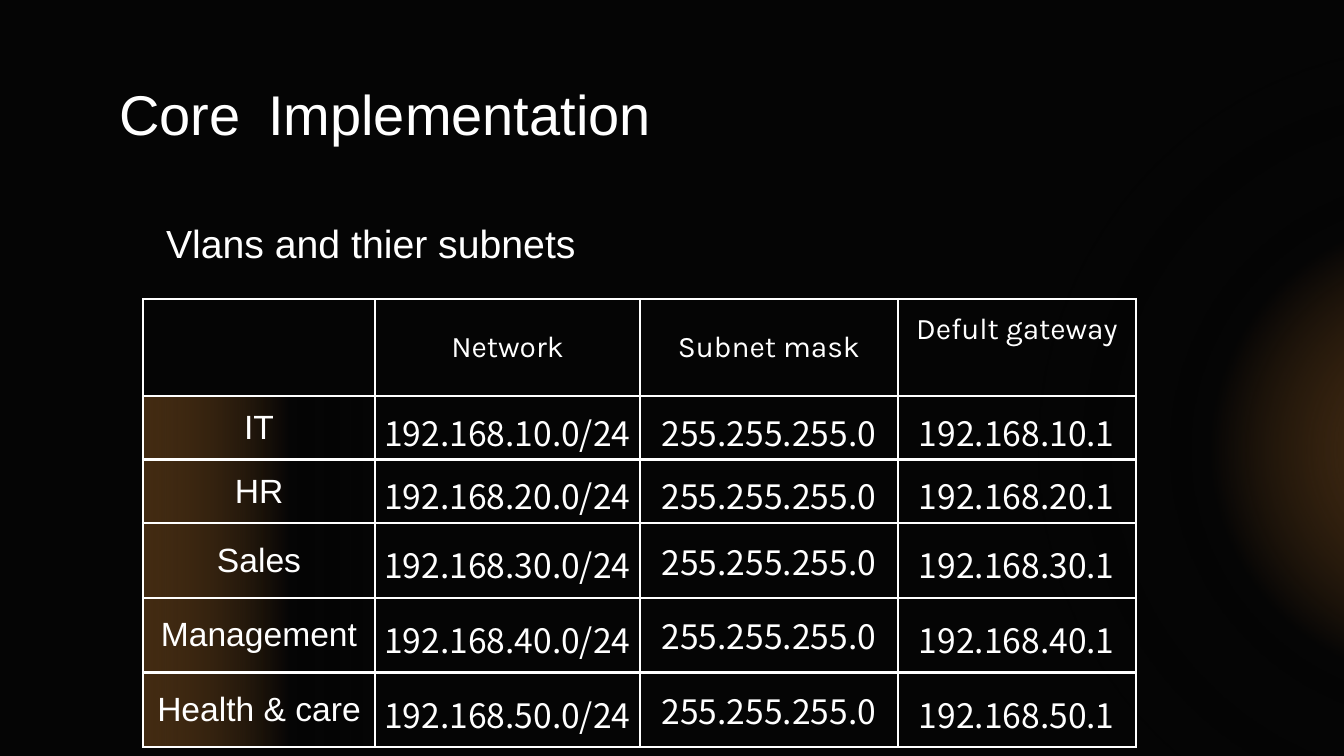
from lxml import etree
from pptx import Presentation
from pptx.dml.color import RGBColor
from pptx.enum.shapes import MSO_SHAPE
from pptx.enum.text import MSO_ANCHOR, PP_ALIGN
from pptx.oxml.ns import qn
from pptx.util import Emu, Pt

OVAL = MSO_SHAPE.OVAL
TOP, MIDDLE = MSO_ANCHOR.TOP, MSO_ANCHOR.MIDDLE
LEFT, CENTER = PP_ALIGN.LEFT, PP_ALIGN.CENTER

BLACK = RGBColor(0x05, 0x05, 0x05)
WHITE = RGBColor(0xFF, 0xFF, 0xFF)
ORANGE = RGBColor(0xE6, 0x91, 0x38)

# Gradient stops: position, colour, opacity, all in percent
GLOW_STOPS = [(0, ORANGE, 27), (41, BLACK, 54), (78, BLACK, 0), (100, BLACK, 0)]
CELL_STOPS = [(0, ORANGE, 27), (64, BLACK, 54), (95, BLACK, 0), (100, BLACK, 0)]

HEADINGS = ["Network", "Subnet mask", "Defult gateway"]
DEPARTMENTS = ["IT", "HR", "Sales", "Management", "Health & care"]
MASK = "255.255.255.0"
COLUMN_WIDTHS = [232, 265, 258, 238]
HEADER_HEIGHT, ROW_HEIGHT = 97, 63

HEADING_FONT = {"name": "Karla", "size": Pt(16)}
LABEL_FONT = {"name": "Arial", "size": Pt(18)}
ADDRESS_FONT = {"name": "Noto Sans CJK JP", "size": Pt(18)}
SPACED = {"line_spacing": 1.15, "space_after": Pt(8)}


def px(length):
    return Emu(round(length * 914400 / 134.4))


def apply(target, values):
    for name, value in values.items():
        setattr(target, name, value)


def child(parent, tag, **attributes):
    return etree.SubElement(parent, qn(tag), {k: str(v) for k, v in attributes.items()})


def add_solid(parent, colour):
    child(child(parent, "a:solidFill"), "a:srgbClr", val=colour)


def add_gradient(parent, stops):
    gradient = child(parent, "a:gradFill", rotWithShape=1)
    stop_list = child(gradient, "a:gsLst")
    for position, colour, opacity in stops:
        stop = child(stop_list, "a:gs", pos=position * 1000)
        child(child(stop, "a:srgbClr", val=colour), "a:alpha", val=opacity * 1000)
    return gradient


def add_span(para, text, font):
    span = para.add_run()
    span.text = text
    apply(span.font, font)
    span.font.color.rgb = WHITE
    return span


def add_glow(page):
    glow = page.shapes.add_shape(OVAL, px(1039), px(47), px(805), px(805))
    glow.shadow.inherit = False
    glow.line.fill.background()
    gradient = add_gradient(glow._element.spPr, GLOW_STOPS)
    circle = child(gradient, "a:path", path="circle")
    child(circle, "a:fillToRect", l=50000, t=50000, r=50000, b=50000)
    glow._element.spPr.find(qn("a:prstGeom")).addnext(gradient)
    # Behind everything else
    page.shapes._spTree.insert(2, glow._element)


def add_subtitle(page):
    box = page.shapes.title
    apply(box, {"left": px(153), "top": px(215), "width": px(1133), "height": px(85)})
    frame = box.text_frame
    apply(frame, {"word_wrap": True, "vertical_anchor": TOP})
    apply(frame, {f"margin_{side}": px(13) for side in ("left", "top", "right", "bottom")})
    para = frame.paragraphs[0]
    apply(para, {"alignment": LEFT, "line_spacing": 0.8, "space_before": Pt(0)})
    add_span(para, "Vlans and thier subnets", {"name": "Arial", "size": Pt(21)})


def add_heading(page):
    box = page.shapes.add_textbox(px(106), px(73), px(922), px(82))
    box.text_frame.word_wrap = True
    para = box.text_frame.paragraphs[0]
    font = {"name": "Arial", "size": Pt(30)}
    add_span(para, "Core", font)
    gap = add_span(para, " ", font)
    gap.font._element.set("spc", "650")  # widened word gap
    add_span(para, "Implementation", font)


def style_cell(cell, border=1.5, stops=None):
    properties = cell._tc.get_or_add_tcPr()
    for side in "LRTB":
        line = child(properties, f"a:ln{side}", w=Pt(border))
        add_solid(line, WHITE)
    if stops:
        child(add_gradient(properties, stops), "a:lin", ang=0, scaled=0)
    else:
        cell.fill.background()


def fill_cell(cell, text, font, anchor=MIDDLE, margin=13, spacing=None):
    cell.vertical_anchor = anchor
    apply(cell, {f"margin_{side}": px(margin) for side in ("left", "top", "right", "bottom")})
    para = cell.text_frame.paragraphs[0]
    para.alignment = CENTER
    apply(para, spacing or {})
    add_span(para, text, font)


def add_subnet_table(page):
    count = len(DEPARTMENTS) + 1
    height = HEADER_HEIGHT + ROW_HEIGHT * len(DEPARTMENTS)
    table = page.shapes.add_table(count, len(COLUMN_WIDTHS), px(143), px(299),
                                  px(sum(COLUMN_WIDTHS)), px(height)).table
    apply(table, {"first_row": False, "horz_banding": False})
    for column, width in zip(table.columns, COLUMN_WIDTHS):
        column.width = px(width)
    for index, row in enumerate(table.rows):
        row.height = px(ROW_HEIGHT if index else HEADER_HEIGHT)

    # Header row
    style_cell(table.cell(0, 0), border=1)
    for column, heading in enumerate(HEADINGS, 1):
        cell = table.cell(0, column)
        fill_cell(cell, heading, HEADING_FONT, TOP if column == 3 else MIDDLE)
        style_cell(cell)

    # One subnet per department
    for row, department in enumerate(DEPARTMENTS, 1):
        label = table.cell(row, 0)
        fill_cell(label, department, LABEL_FONT)
        style_cell(label, stops=CELL_STOPS)
        subnet = f"192.168.{row * 10}"
        for column, text in enumerate([f"{subnet}.0/24", MASK, f"{subnet}.1"], 1):
            cell = table.cell(row, column)
            if text == MASK and row > 2:
                fill_cell(cell, text, ADDRESS_FONT)
            else:
                fill_cell(cell, text, ADDRESS_FONT, margin=1, spacing=SPACED)
            style_cell(cell)


def main():
    deck = Presentation()
    apply(deck, {"slide_width": px(1344), "slide_height": px(756)})
    page = deck.slides.add_slide(deck.slide_layouts[5])
    page.background.fill.solid()
    page.background.fill.fore_color.rgb = BLACK
    add_glow(page)
    add_subtitle(page)
    add_subnet_table(page)
    add_heading(page)
    deck.save("out.pptx")


if __name__ == "__main__":
    main()
